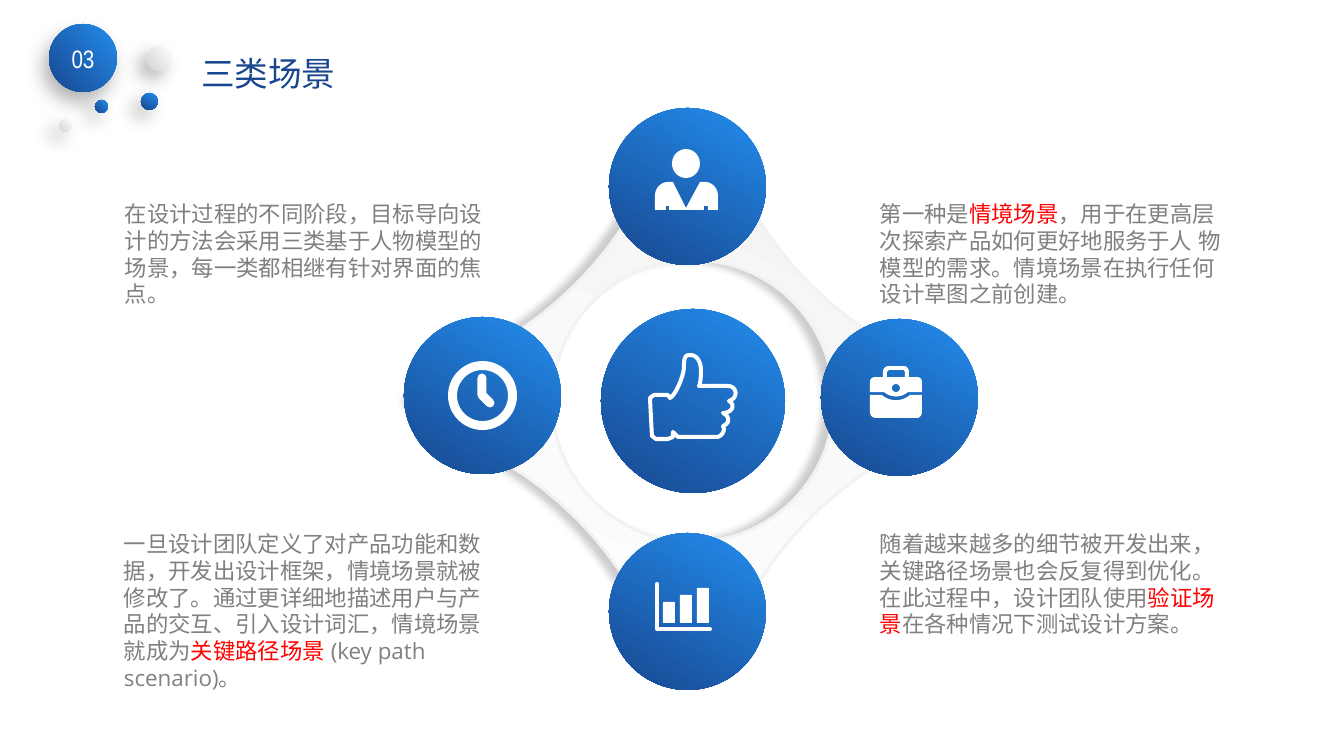
from dataclasses import dataclass
from math import cos, pi, sin

from lxml import etree
from pptx import Presentation
from pptx.dml.color import RGBColor
from pptx.enum.shapes import MSO_SHAPE
from pptx.enum.text import MSO_ANCHOR, MSO_AUTO_SIZE, PP_ALIGN
from pptx.oxml.ns import qn
from pptx.util import Emu, Pt

OVAL, DONUT, ROUNDED = MSO_SHAPE.OVAL, MSO_SHAPE.DONUT, MSO_SHAPE.ROUNDED_RECTANGLE
LEFT, CENTER = PP_ALIGN.LEFT, PP_ALIGN.CENTER
TOP, MIDDLE = MSO_ANCHOR.TOP, MSO_ANCHOR.MIDDLE
FIXED, GROW = MSO_AUTO_SIZE.NONE, MSO_AUTO_SIZE.SHAPE_TO_FIT_TEXT
EMU_PER_PIXEL = 914400 / 100.8
CURVE_STEPS = 12
WHITE, GREY, RED, NAVY, PALE = "FFFFFF", "808080", "FF0000", "18478F", "F2F2F2"
BLUES, SILVERS = ("238DED", NAVY), (WHITE, "D4D2D3")


@dataclass
class Shadow:
    """Outer shadow: opacity in percent, blur and distance in points."""
    opacity: int
    blur: int
    distance: int
    angle: int


@dataclass
class Ball:
    """Gradient circle."""
    left: int
    top: int
    size: int
    colors: tuple = BLUES
    angle: int = 120
    shadow: Shadow | None = None


@dataclass
class Note:
    """Text block whose runs are (text, colour) pairs."""
    left: int
    top: int
    width: int
    height: int
    runs: list


DOT_SHADOW = Shadow(30, 13, 8, 135)
HEADER_BALLS = [
    Ball(49, 24, 68, BLUES, 140, Shadow(30, 14, 8, 120)),
    Ball(147, 46, 25, SILVERS, 140, DOT_SHADOW),
    Ball(59, 119, 13, SILVERS, 140, DOT_SHADOW),
    Ball(95, 100, 13, BLUES, 140, DOT_SHADOW),
    Ball(141, 93, 17, BLUES, 120, DOT_SHADOW),
]
SCENE_BALLS = [Ball(404, 317, 157), Ball(821, 319, 157), Ball(609, 108, 157),
               Ball(609, 533, 157), Ball(601, 309, 184)]
NOTES = [
    Note(870, 195, 369, 119, [
        ("第一种是", GREY), ("情境场景", RED),
        ("，用于在更高层次探索产品如何更好地服务于人 物模型的需求。"
         "情境场景在执行任何设计草图之前创建。", GREY)]),
    Note(115, 195, 381, 119, [
        ("在设计过程的不同阶段，目标导向设计的方法会采用三类基于人物模型的场景，"
         "每一类都相继有针对界面的焦点。", GREY)]),
    Note(870, 525, 369, 119, [
        ("随着越来越多的细节被开发出来，关键路径场景也会反复得到优化。"
         "在此过程中，设计团队使用", GREY),
        ("验证场景", RED), ("在各种情况下测试设计方案。", GREY)]),
    Note(114, 525, 381, 173, [
        ("一旦设计团队定义了对产品功能和数据，开发出设计框架，情境场景就被修改了。"
         "通过更详细地描述用户与产品的交互、引入设计词汇，情境场景就成为", GREY),
        ("关键路径场景", RED), (" (key path scenario)。", GREY)]),
]
# Outline steps: two numbers are a line end, six numbers a cubic curve.
FRAME_QUARTER = [(0, -279), (37, -242), (42, -228), (75, -147, 147, -75, 228, -42), (242, -37)]
THUMB = [(654, 395), (650, 398), (652, 436), (656, 439), (668, 439), (673, 437), (673, 432),
         (678, 437), (717, 437), (720, 437, 724, 433, 724, 429), (723, 426),
         (729, 424, 731, 417, 723, 413), (732, 413, 736, 405, 729, 401),
         (739, 398, 737, 386, 728, 386), (699, 386), (701, 382, 701, 375, 701, 368),
         (700, 361, 697, 355, 690, 355), (685, 355, 684, 358, 684, 367),
         (684, 375, 676, 395, 670, 398), (668, 395)]
TORSO = [(655, 210), (655, 196), (655, 188, 661, 182, 668, 182), (673, 182), (686, 208),
         (700, 182), (705, 182), (712, 182, 718, 188, 718, 196), (718, 210), (708, 210),
         (708, 206), (704, 206), (704, 210), (669, 210), (669, 206), (666, 206), (666, 210)]
CASE_BOTTOM = [(870, 395), (882, 395), (890, 402, 902, 402, 910, 395), (922, 395), (922, 412),
               (922, 415, 920, 418, 917, 418), (876, 418), (872, 418, 870, 415, 870, 412)]
CASE_TOP = [(870, 392), (870, 382), (870, 379, 872, 377, 876, 377), (883, 377), (883, 372),
            (883, 369, 885, 366, 889, 366), (904, 366), (907, 366, 909, 369, 909, 372),
            (909, 377), (917, 377), (920, 377, 922, 379, 922, 382), (922, 392), (908, 392),
            (901, 398, 891, 398, 884, 392)]
CASE_HANDLE = [(887, 377), (887, 372), (889, 370), (904, 370), (905, 372), (905, 377)]


def pixels(value: float) -> Emu:
    """Turn pixels into EMU."""
    return Emu(round(value * EMU_PER_PIXEL))


def rgb(color: str) -> RGBColor:
    """Turn a hex string into a colour."""
    return RGBColor.from_string(color)


def flatten(steps: list) -> list:
    """Turn line and curve steps into points."""
    points = []
    for step in steps:
        if len(step) == 2:
            points.append(step)
            continue
        controls = [points[-1], step[:2], step[2:4], step[4:]]
        for index in range(1, CURVE_STEPS + 1):
            t = index / CURVE_STEPS
            weights = ((1 - t) ** 3, 3 * t * (1 - t) ** 2, 3 * t * t * (1 - t), t ** 3)
            points.append(tuple(sum(w * c[axis] for w, c in zip(weights, controls))
                                for axis in (0, 1)))
    return points


def ring(x: int, y: int, radius: int) -> list:
    """Return points around a circle."""
    return [(x + radius * cos(i * pi / 36), y + radius * sin(i * pi / 36)) for i in range(72)]


def paint(shape, fill=None, line=None, line_width=0, angle=0, shadow=None) -> None:
    """Set fill (one colour, a gradient pair or none), line in pixels and shadow."""
    if isinstance(fill, tuple):
        shape.fill.gradient()
        shape.fill.gradient_angle = 360 - angle
        for stop, color in zip(shape.fill.gradient_stops, fill):
            stop.color.rgb = rgb(color)
    elif fill:
        shape.fill.solid()
        shape.fill.fore_color.rgb = rgb(fill)
    else:
        shape.fill.background()
    if line:
        shape.line.color.rgb = rgb(line)
        shape.line.width = pixels(line_width)
        outline = shape.line._get_or_add_ln()
        outline.set("cap", "rnd")
        etree.SubElement(outline, qn("a:round"))
    else:
        shape.line.fill.background()
    shape.shadow.inherit = False
    if shadow:
        effects = shape._element.spPr.find(qn("a:effectLst"))
        outer = etree.SubElement(effects, qn("a:outerShdw"), blurRad=str(Pt(shadow.blur)),
                                 dist=str(Pt(shadow.distance)), dir=str(shadow.angle * 60000),
                                 algn="ctr", rotWithShape="0")
        color = etree.SubElement(outer, qn("a:srgbClr"), val="000000")
        etree.SubElement(color, qn("a:alpha"), val=str(shadow.opacity * 1000))


def add_preset(slide, kind, left: int, top: int, width: int, height: int, **style):
    """Add a painted preset shape."""
    shape = slide.shapes.add_shape(kind, *map(pixels, (left, top, width, height)))
    paint(shape, **style)
    return shape


def add_outline(slide, *contours: list, close: bool = True, **style) -> None:
    """Add a painted freeform from one or more contours."""
    builder = None
    for contour in contours:
        first, *rest = [(pixels(x), pixels(y)) for x, y in flatten(contour)]
        if builder is None:
            builder = slide.shapes.build_freeform(*first, scale=1.0)
        else:
            builder.move_to(*first)
        builder.add_line_segments(rest, close=close)
    paint(builder.convert_to_shape(), **style)


def add_ball(slide, ball: Ball):
    """Add a gradient circle."""
    return add_preset(slide, OVAL, ball.left, ball.top, ball.size, ball.size,
                      fill=ball.colors, angle=ball.angle, shadow=ball.shadow)


def write(shape, runs: list, size: int, font="Open Sans", align=LEFT, anchor=TOP, fit=FIXED) -> None:
    """Write coloured runs into a shape."""
    frame = shape.text_frame
    frame.word_wrap, frame.auto_size, frame.vertical_anchor = True, fit, anchor
    paragraph = frame.paragraphs[0]
    paragraph.alignment = align
    for text, color in runs:
        run = paragraph.add_run()
        run.text = text
        run.font.name, run.font.size = font, Pt(size)
        run.font.color.rgb = rgb(color)
        etree.SubElement(run.font._element, qn("a:ea"), typeface=font)


def add_frame(slide) -> None:
    """Add the four-pointed frame with its round opening."""
    x, y = 693, 401
    quarter, star = flatten(FRAME_QUARTER), []
    for _ in range(4):
        star += [(x + dx, y + dy) for dx, dy in quarter]
        quarter = [(-dy, dx) for dx, dy in quarter]
    add_outline(slide, star, ring(x, y, 141), fill=(WHITE, PALE), angle=295,
                line=PALE, line_width=3, shadow=Shadow(20, 5, 8, 180))


def add_icons(slide) -> None:
    """Add the thumb, clock, person, chart and briefcase icons."""
    add_outline(slide, THUMB, line=WHITE, line_width=4)
    clock = add_preset(slide, DONUT, 448, 361, 69, 69, fill=WHITE)
    clock.adjustments[0] = 0.13
    add_outline(slide, [(482, 378), (482, 395), (490, 403)], close=False, line=WHITE, line_width=9)
    add_preset(slide, OVAL, 672, 149, 28, 29, fill=WHITE)
    add_outline(slide, TORSO, fill=WHITE)
    for index in range(3):
        bar = add_preset(slide, ROUNDED, 663 + 17 * index, 602 - 7 * index,
                         12, 21 + 7 * index, fill=WHITE)
        bar.adjustments[0] = 0.06
    add_outline(slide, [(657, 584), (657, 629), (710, 629)], close=False, line=WHITE, line_width=4)
    add_outline(slide, CASE_BOTTOM, fill=WHITE)
    add_outline(slide, CASE_TOP, CASE_HANDLE, ring(896, 388, 4), fill=WHITE)


def main() -> None:
    """Build and save the slide."""
    presentation = Presentation()
    presentation.slide_width, presentation.slide_height = pixels(1344), pixels(756)
    slide = presentation.slides.add_slide(presentation.slide_layouts[5])
    number, *_ = [add_ball(slide, ball) for ball in HEADER_BALLS]
    write(number, [("03", WHITE)], 18, "Arial Narrow", CENTER, MIDDLE)
    title = slide.shapes.title
    title.left, title.top, title.width, title.height = map(pixels, (191, 48, 427, 50))
    write(title, [("三类场景", NAVY)], 24)
    add_frame(slide)
    for ball in SCENE_BALLS:
        add_ball(slide, ball)
    add_icons(slide)
    for note in NOTES:
        box = slide.shapes.add_textbox(*map(pixels, (note.left, note.top, note.width, note.height)))
        write(box, note.runs, 16, fit=GROW)
    presentation.save("out.pptx")


main()
